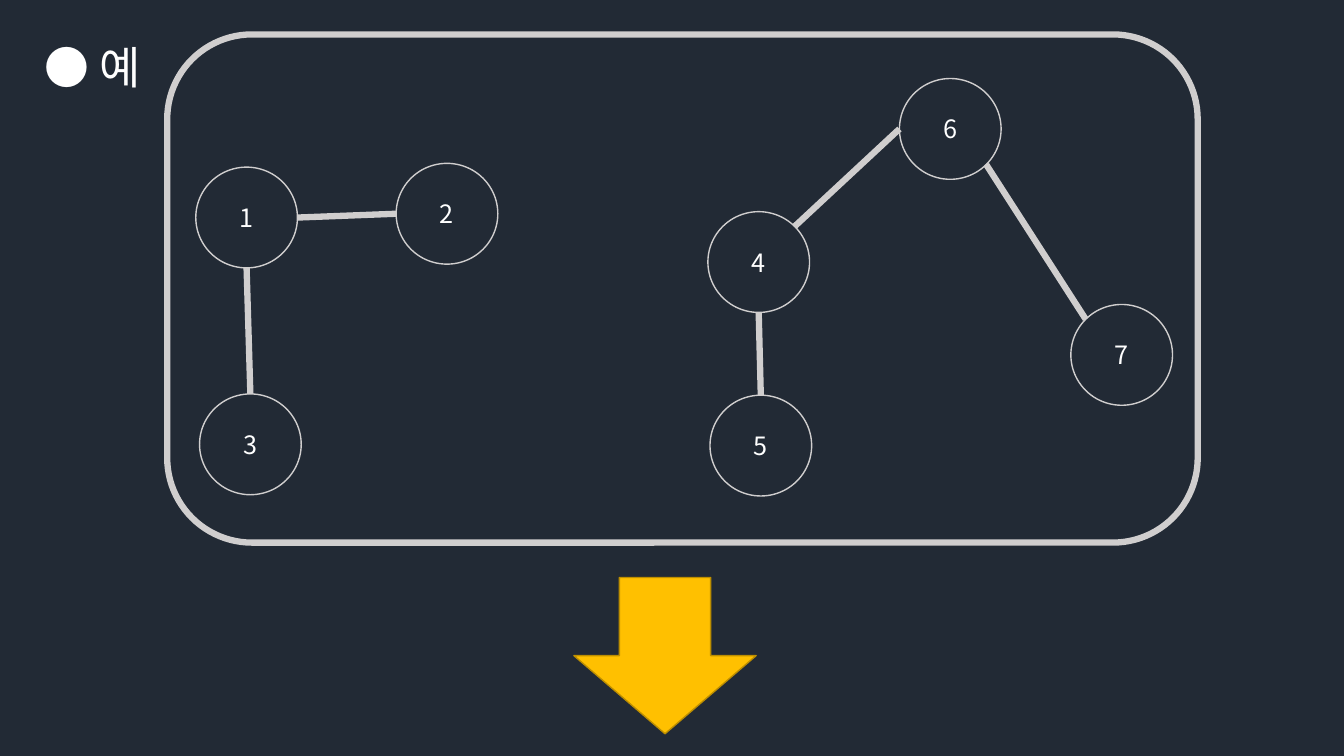
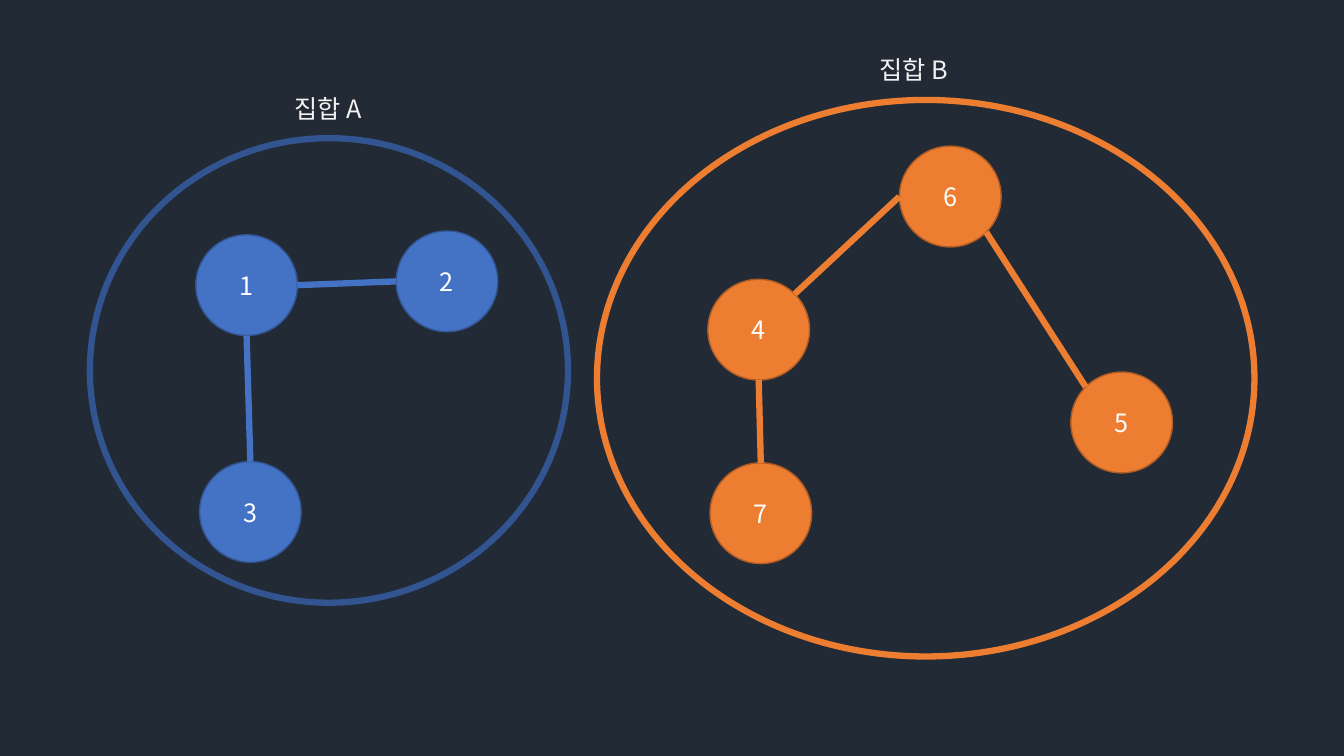
from math import cos, radians, sin

from lxml import etree
from pptx import Presentation
from pptx import util as u
from pptx.dml.color import RGBColor
from pptx.enum import shapes, text
from pptx.oxml.ns import qn

FONT = "Noto Sans CJK KR"
WHITE, PALE, GREY = "FFFFFF", "F2F2F2", "D0CECE"
BLUE, NAVY = "4472C4", "325491"
ORANGE, BROWN = "ED7D31", "AF5C24"
GOLD, OCHRE = "FFC000", "BD8E00"
THIN, THICK = 1, 4.5
KIND = shapes.MSO_SHAPE

deck = Presentation()
deck.slide_width, deck.slide_height = u.Inches(13.33), u.Inches(7.5)
CELL = deck.slide_height / 18  # the slide is a grid of 32 columns by 18 rows
ground = deck.slide_master.background.fill
ground.solid()
ground.fore_color.rgb = RGBColor.from_string("222A35")


def write(shape, words, size, hue, side=text.PP_ALIGN.LEFT, rise=text.MSO_ANCHOR.TOP):
    """Put one line of text into a shape, in the deck's font."""
    frame = shape.text_frame
    frame.word_wrap = True
    frame.auto_size = text.MSO_AUTO_SIZE.NONE
    frame.vertical_anchor = rise
    para = frame.paragraphs[0]
    para.alignment, para.line_spacing = side, 1.0
    run = para.add_run()
    run.text = words
    run.font.name, run.font.size = FONT, u.Pt(size)
    run.font.color.rgb = RGBColor.from_string(hue)
    east = etree.SubElement(run.font._element, qn("a:ea"))
    east.set("typeface", FONT)


def draw(slide, kind, box, rim, width, fill=None):
    """Add a preset shape; box is column, row, columns wide, rows high."""
    shape = slide.shapes.add_shape(kind, *[int(n * CELL) for n in box])
    shape.shadow.inherit = False
    if fill:
        shape.fill.solid()
        shape.fill.fore_color.rgb = RGBColor.from_string(fill)
    else:
        shape.fill.background()
    shape.line.color.rgb = RGBColor.from_string(rim)
    shape.line.width = u.Pt(width)
    return shape


# Both slides show the same graph: node spots, and edges between compass angles
WIDE, HIGH = 2.42, 2.4
SPOTS = {"1": (4.66, 3.98), "3": (4.75, 9.38), "2": (9.43, 3.89),
         "4": (16.85, 5.04), "5": (16.9, 9.41), "6": (21.41, 1.87),
         "7": (25.49, 7.25)}
EAST, NE, NORTH, NW, WEST, SOUTH, SE = 0, 45, 90, 135, 180, 270, 315
EDGES = [("1", SOUTH, "3", NORTH), ("1", EAST, "2", WEST),
         ("4", SOUTH, "5", NORTH), ("4", NE, "6", WEST), ("7", NW, "6", SE)]
LEFT = "123"

first = deck.slides.add_slide(deck.slide_layouts[5])
second = deck.slides.add_slide(deck.slide_layouts[6])

title = first.shapes.title
title.left, title.top, title.width, title.height = [
    int(n * CELL) for n in (0.82, 0.82, 12.46, 1.54)]
write(title, "● 예", 32, WHITE)

# Per slide: rows down, swapped names, then (fill, rim, edge) left and right
plain = (None, GREY, GREY)
looks = [(first, 0, {}, plain, plain),
         (second, 1.61, {"5": "7", "7": "5"},
          (BLUE, NAVY, BLUE), (ORANGE, BROWN, ORANGE))]
for slide, drop, swap, west, east in looks:
    for name, (col, row) in SPOTS.items():
        fill, rim, _ = west if name in LEFT else east
        node = draw(slide, KIND.OVAL, (col, row + drop, WIDE, HIGH), rim, THIN, fill)
        write(node, swap.get(name, name), 18, WHITE,
              text.PP_ALIGN.CENTER, text.MSO_ANCHOR.MIDDLE)
    for start, out, end, into in EDGES:
        ends = []
        for name, angle in ((start, out), (end, into)):
            col, row = SPOTS[name]
            turn = radians(angle)
            ends += [int((col + WIDE / 2 * (1 + cos(turn))) * CELL),
                     int((row + drop + HIGH / 2 * (1 - sin(turn))) * CELL)]
        edge = slide.shapes.add_connector(shapes.MSO_CONNECTOR.STRAIGHT, *ends)
        hue = (west if start in LEFT else east)[2]
        edge.line.color.rgb = RGBColor.from_string(hue)
        edge.line.width = u.Pt(THICK)
        etree.SubElement(edge._element.spPr, qn("a:effectLst"))

draw(first, KIND.ROUNDED_RECTANGLE, (3.98, 0.82, 24.53, 12.1), GREY, THICK)
draw(first, KIND.DOWN_ARROW, (13.66, 13.75, 4.34, 3.72), OCHRE, THIN, GOLD)

groups = [("집합 A", (6.77, 2.11), (2.14, 3.29, 11.38, 11.06), NAVY),
          ("집합 B", (20.69, 1.18), (14.21, 2.38, 15.65, 13.25), ORANGE)]
for label, spot, ring, hue in groups:
    draw(second, KIND.OVAL, ring, hue, THICK)
    box = second.shapes.add_textbox(*[int(n * CELL) for n in (*spot, 3.84, 0.96)])
    write(box, label, 18, PALE)

deck.save("out.pptx")
